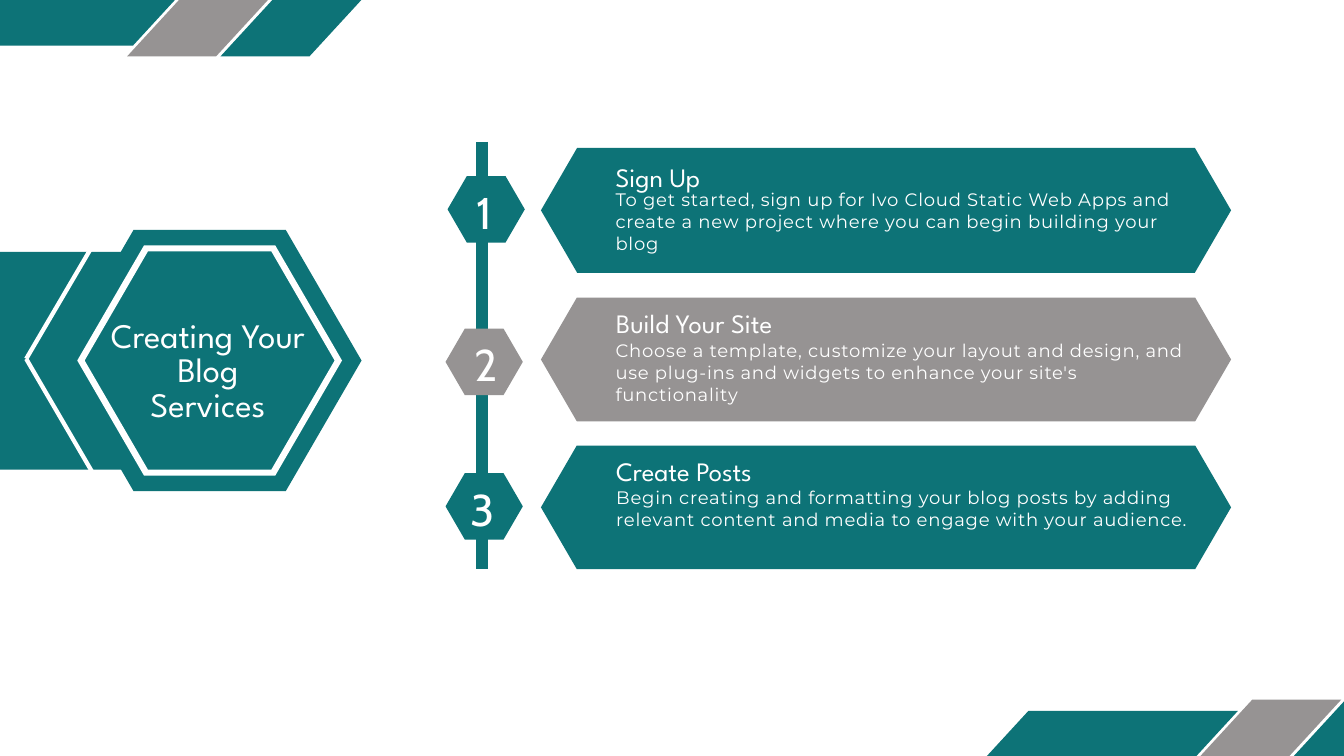
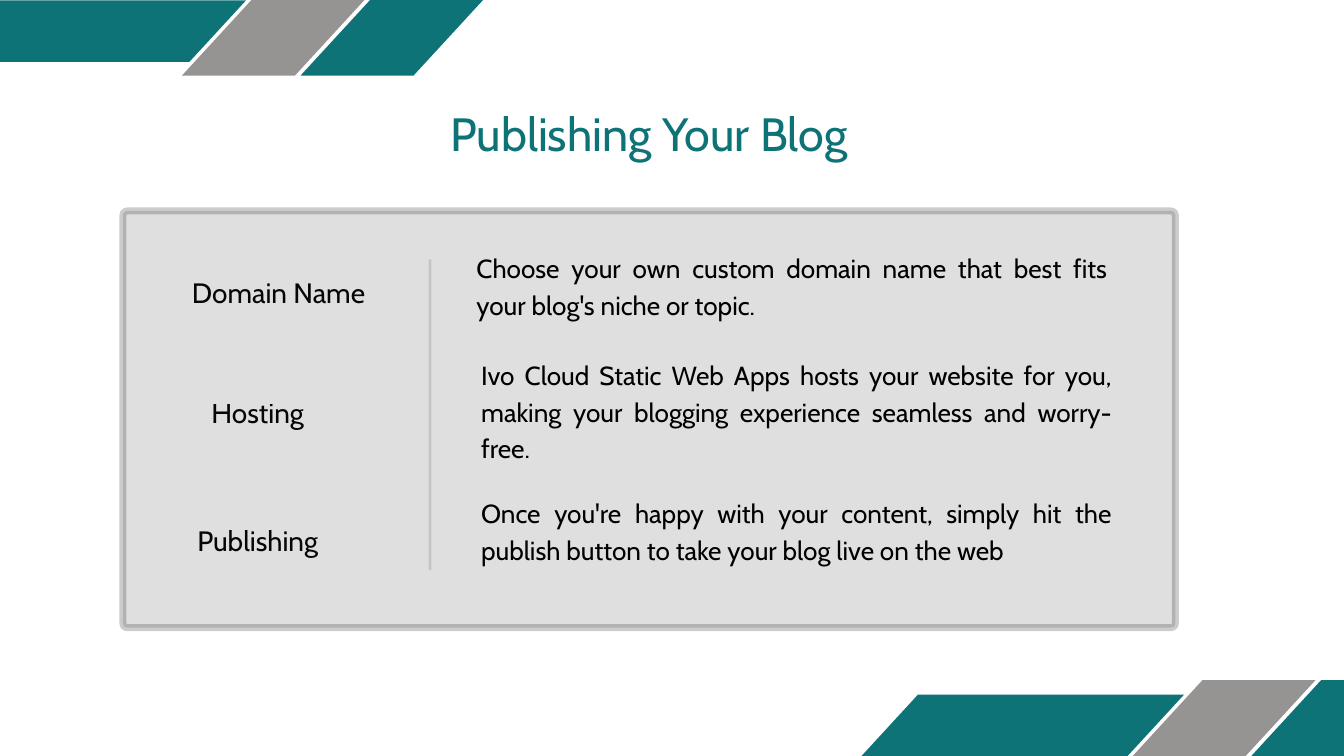
from lxml.etree import SubElement
from pptx import Presentation
from pptx.dml.color import RGBColor
from pptx.enum.shapes import MSO_CONNECTOR as Connector
from pptx.enum.shapes import MSO_SHAPE as Shape
from pptx.enum.text import PP_ALIGN as Align
from pptx.oxml.ns import qn
from pptx.util import Inches, Pt

TEAL, GRAY, WHITE, BLACK, SMOKE = "0D7377", "969393", "FFFFFF", "000000", "606060"
SLANT = 0.92
HEXAGON_INSET = 0.29

STEPS = [
    {"color": TEAL, "bar": (2.2, 1.86), "badge": (6.66, 2.62), "number": ("1", 7.02),
     "heading": ("Sign Up", 9.16, 2.32), "body_at": (9.16, 2.8),
     "body": "To get started, sign up for Ivo Cloud Static Web Apps and create a new "
             "project where you can begin building your blog"},
    {"color": GRAY, "bar": (4.43, 1.84), "badge": (6.63, 4.89), "number": ("2", 7.05),
     "heading": ("Build Your Site", 9.17, 4.49), "body_at": (9.16, 5.05),
     "body": "Choose a template, customize your layout and design, and use plug-ins "
             "and widgets to enhance your site's functionality"},
    {"color": TEAL, "bar": (6.63, 1.84), "badge": (6.63, 7.04), "number": ("3", 7.0),
     "heading": ("Create Posts", 9.17, 6.69), "body_at": (9.17, 7.24),
     "body": "Begin creating and formatting your blog posts by adding relevant content "
             "and media to engage with your audience."},
]

TOPICS = [
    ("Domain Name", (2.19, 4.01, 3.91, 1.13), (7.09, 3.68, 9.38, 1.59),
     "Choose your own custom domain name that best fits your blog's niche or topic."),
    ("Hosting", (2.86, 5.81, 1.95, 0.53), (7.16, 5.27, 9.38, 2.24),
     "Ivo Cloud Static Web Apps hosts your website for you, making your blogging "
     "experience seamless and worry-free."),
    ("Publishing", (2.56, 7.71, 2.55, 0.55), (7.16, 7.33, 9.38, 1.59),
     "Once you're happy with your content, simply hit the publish button to take "
     "your blog live on the web"),
]


def rgb(color):
    """Turn a hex string into a colour."""
    return RGBColor.from_string(color)


def fade(element, percent):
    """Set the opacity of every colour inside an element."""
    for color in element.iter(qn("a:srgbClr")):
        SubElement(color, qn("a:alpha")).set("val", str(percent * 1000))


def fill_plain(shape, color):
    """Give a shape a flat fill without line or shadow."""
    shape.shadow.inherit = False
    shape.fill.solid()
    shape.fill.fore_color.rgb = rgb(color)
    shape.line.fill.background()
    return shape


def add_preset(page, kind, frame, color, adjustment=None):
    """Add a flat preset shape, with its first handle set if one is given."""
    shape = page.shapes.add_shape(kind, *map(Inches, frame))
    if adjustment is not None:
        shape.adjustments[0] = adjustment
    return fill_plain(shape, color)


def add_hexagon(page, frame, color):
    """Add a regular hexagon that points left and right."""
    return add_preset(page, Shape.HEXAGON, frame, color, HEXAGON_INSET)


def hexagon_points(left, top, width, height):
    """List the corners of a hexagon clockwise from the left tip."""
    inset, middle = height * HEXAGON_INSET, top + height / 2
    right, bottom = left + width, top + height
    return [(left, middle), (left + inset, top), (right - inset, top),
            (right, middle), (right - inset, bottom), (left + inset, bottom)]


def add_hexagon_ring(page, outer, inner, color):
    """Add a hexagonal ring as one outline with a hole."""
    edge = [tuple(map(Inches, point)) for point in hexagon_points(*outer)]
    hole = [tuple(map(Inches, point)) for point in reversed(hexagon_points(*inner))]
    builder = page.shapes.build_freeform(*edge[0])
    builder.add_line_segments(edge[1:], close=True)
    builder.move_to(*hole[0])
    builder.add_line_segments(hole[1:], close=True)
    return fill_plain(builder.convert_to_shape(), color)


def add_line(page, start, end, color, width):
    """Add a straight line without shadow."""
    line = page.shapes.add_connector(Connector.STRAIGHT, *map(Inches, start + end))
    line.line.color.rgb = rgb(color)
    line.line.width = Pt(width)
    SubElement(line.element.spPr, qn("a:effectLst"))
    return line


def add_text(page, frame, lines, font, size, color, leading, align=Align.LEFT, tracking=0):
    """Add a text box without margins, one paragraph for each line."""
    box = page.shapes.add_textbox(*map(Inches, frame))
    text = box.text_frame
    text.word_wrap = True
    text.margin_left = text.margin_top = text.margin_right = text.margin_bottom = 0
    for index, line in enumerate(lines):
        para = text.add_paragraph() if index else text.paragraphs[0]
        para.alignment = align
        para.line_spacing = Pt(leading)
        span = para.add_run()
        span.text = line
        span.font.name = font
        span.font.size = Pt(size)
        span.font.color.rgb = rgb(color)
        if tracking:
            span.font._element.set("spc", str(round(tracking * 100)))
    return box


def add_bands(page, left, top, scale):
    """Add a slanted bar followed by two taller stripes."""
    bands = [(0, 0.17, 3.78, 0.72, TEAL), (3.03, 0, 2.29, 1.05, GRAY),
             (4.42, 0, 2.29, 1.05, TEAL)]
    for across, down, width, height, color in bands:
        frame = (left + across * scale, top + down * scale, width * scale, height * scale)
        add_preset(page, Shape.PARALLELOGRAM, frame, color, SLANT)


def add_page(deck, lower_left, lower_top, scale):
    """Add a blank slide with bands in two corners."""
    page = deck.slides.add_slide(deck.slide_layouts[6])
    add_bands(page, -1.14, -0.21, scale)
    add_bands(page, lower_left, lower_top, scale)
    return page


def add_title_badge(page):
    """Add the large hexagon that carries the slide title."""
    add_hexagon(page, (0.86, 3.42, 4.52, 3.89), TEAL)
    add_preset(page, Shape.RECTANGLE, (0, 3.75, 3.84, 3.24), TEAL)
    add_hexagon_ring(page, (1.15, 3.65, 3.94, 3.43), (1.26, 3.74, 3.72, 3.25), WHITE)
    for end in [(1.37, 7.02), (1.37, 3.67)]:
        add_line(page, (0.39, 5.34), end, WHITE, 4.6)
    add_text(page, (1.39, 4.78, 3.41, 1.56), ["Creating Your Blog", "Services"],
             "League Spartan", 36.8, WHITE, 36.8, Align.CENTER)


def add_step(page, step):
    """Add one numbered step with its bar, heading and body."""
    color = step["color"]
    bar_top, bar_height = step["bar"]
    badge_left, badge_top = step["badge"]
    number, number_left = step["number"]
    heading, heading_left, heading_top = step["heading"]
    add_hexagon(page, (8.05, bar_top, 10.27, bar_height), color)
    add_hexagon(page, (badge_left, badge_top, 1.15, 0.99), color)
    add_text(page, (number_left, badge_top, 0.37, 0.87), [number],
             "Cabin", 47.5, WHITE, 66.5, Align.CENTER)
    add_text(page, (heading_left, heading_top, 4.18, 1.07), [heading],
             "League Spartan", 28.5, WHITE, 39.9)
    add_text(page, (*step["body_at"], 8.61, 0.96), [step["body"]],
             "Montserrat", 19.3, WHITE, 23.5, tracking=0.8)


def add_panel(page):
    """Add the translucent panel behind the topics."""
    panel = add_preset(page, Shape.ROUNDED_RECTANGLE, (1.83, 3.14, 15.66, 6.2), SMOKE, 0.01)
    panel.line.color.rgb = rgb(BLACK)
    panel.line.width = Pt(7.5)
    fade(panel.element, 20)


def add_topic(page, label, label_frame, body_frame, body):
    """Add a topic label and its justified description."""
    label_box = add_text(page, label_frame, [label], "Cabin", 30, BLACK, 42, Align.CENTER)
    fade(label_box.element, 97)
    add_text(page, body_frame, [body], "Cabin", 28, BLACK, 39.2, Align.JUSTIFY)


def build_services(deck):
    """Build the slide with the three numbered steps."""
    page = add_page(deck, 14.64, 10.41, 1)
    add_title_badge(page)
    add_line(page, (7.17, 2.11), (7.17, 8.47), TEAL, 12.27)
    for step in STEPS:
        add_step(page, step)


def build_publishing(deck):
    """Build the slide with the publishing topics."""
    page = add_page(deck, 12.82, 10.12, 1.27)
    add_text(page, (3.18, 1.42, 12.96, 0.94), ["Publishing Your Blog"],
             "Cabin", 50, TEAL, 70, Align.CENTER)
    add_panel(page)
    for topic in TOPICS:
        add_topic(page, *topic)
    divider = add_line(page, (6.4, 8.48), (6.4, 3.86), SMOKE, 3)
    fade(divider.element, 20)


def main():
    """Build and save the deck."""
    deck = Presentation()
    deck.slide_width, deck.slide_height = Inches(20), Inches(11.25)
    build_services(deck)
    build_publishing(deck)
    deck.save("out.pptx")


if __name__ == "__main__":
    main()
